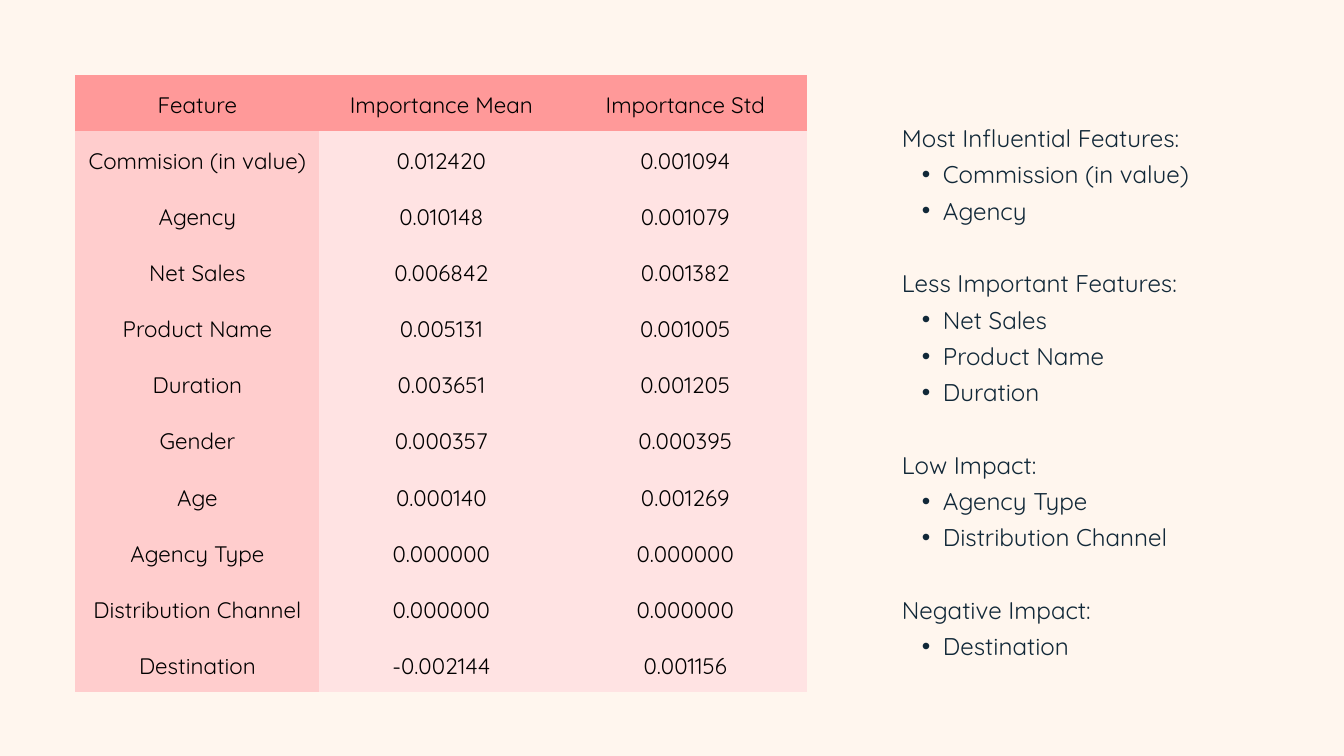
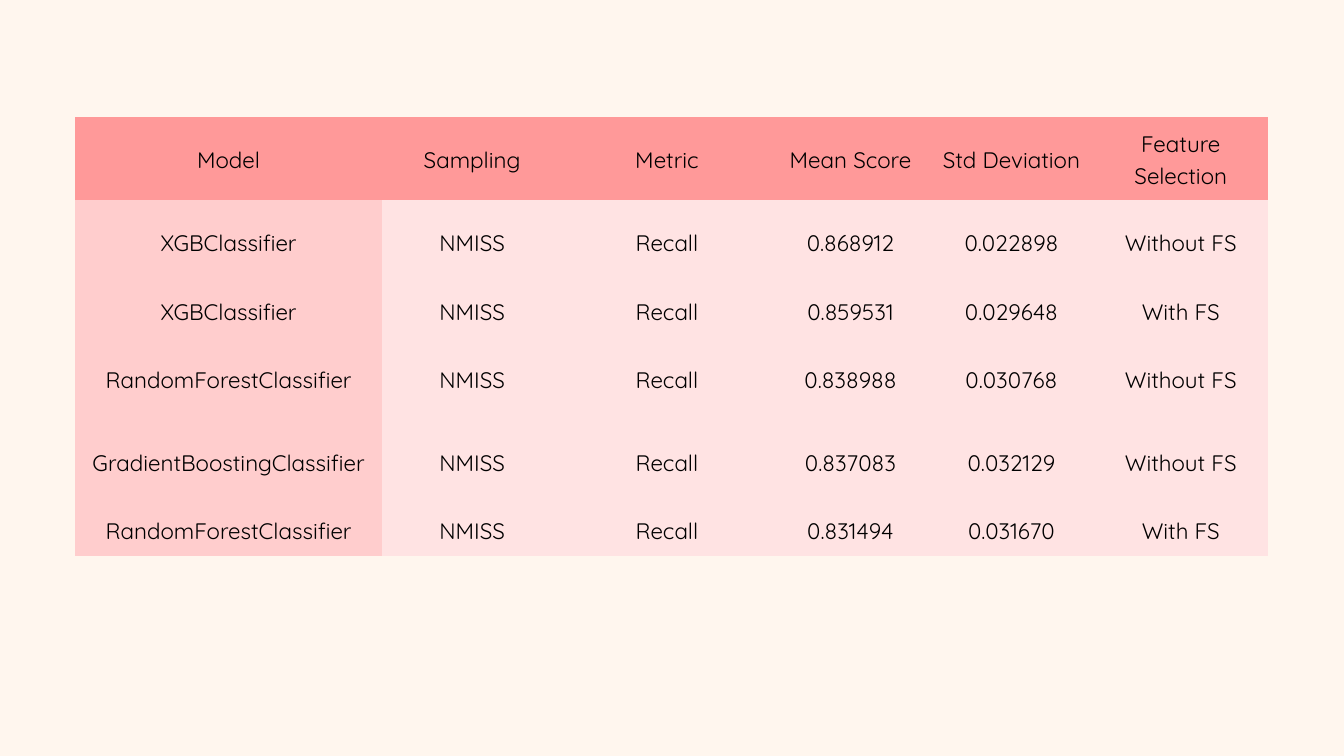
from lxml import etree
from pptx import Presentation
from pptx.dml.color import RGBColor
from pptx.enum.text import MSO_ANCHOR, MSO_AUTO_SIZE, PP_ALIGN
from pptx.oxml.ns import qn
from pptx.util import Cm, Pt

CENTER = PP_ALIGN.CENTER
MIDDLE = MSO_ANCHOR.MIDDLE
GROW_TO_FIT = MSO_AUTO_SIZE.SHAPE_TO_FIT_TEXT

FONT = "Quicksand"
BACKGROUND = "FFF6EE"
HEADER_FILL = "FF9999"
FIRST_COLUMN_FILL = "FFCDCD"
BODY_FILL = "FFE3E3"
TABLE_TEXT = "000000"
NOTE_TEXT = "112838"
TABLE_LEFT = 2.85
NOTE_LINE = Pt(38.9)
NO_STYLE_NO_GRID = "{2D5ABB26-0587-4C30-8999-92F81FD0307C}"

IMPORTANCE_ROWS = [
    ("Feature", "Importance Mean", "Importance Std"),
    ("Commision (in value)", "0.012420", "0.001094"),
    ("Agency", "0.010148", "0.001079"),
    ("Net Sales", "0.006842", "0.001382"),
    ("Product Name", "0.005131", "0.001005"),
    ("Duration", "0.003651", "0.001205"),
    ("Gender", "0.000357", "0.000395"),
    ("Age", "0.000140", "0.001269"),
    ("Agency Type", "0.000000", "0.000000"),
    ("Distribution Channel", "0.000000", "0.000000"),
    ("Destination", "-0.002144", "0.001156"),
]

FEATURE_GROUPS = {
    "Most Influential Features:": ["Commission (in value)", "Agency"],
    "Less Important Features:": ["Net Sales", "Product Name", "Duration"],
    "Low Impact:": ["Agency Type", "Distribution Channel"],
    "Negative Impact:": ["Destination"],
}

MODEL_HEADER = ("Model", "Sampling", "Metric", "Mean Score", "Std Deviation", "Feature Selection")
MODEL_SCORES = [
    ("XGBClassifier", "0.868912", "0.022898", "Without FS"),
    ("XGBClassifier", "0.859531", "0.029648", "With FS"),
    ("RandomForestClassifier", "0.838988", "0.030768", "Without FS"),
    ("GradientBoostingClassifier", "0.837083", "0.032129", "Without FS"),
    ("RandomForestClassifier", "0.831494", "0.031670", "With FS"),
]
MODEL_ROWS = [MODEL_HEADER] + [
    (model, "NMISS", "Recall", mean, deviation, selection)
    for model, mean, deviation, selection in MODEL_SCORES
]


def color(value):
    return RGBColor.from_string(value)


def add_score_table(slide, top, rows, widths, heights):
    """Add a borderless table with a dark header row and a tinted first column; sizes in cm."""
    shape = slide.shapes.add_table(
        len(rows), len(widths), Cm(TABLE_LEFT), Cm(top), Cm(sum(widths)), Cm(sum(heights)))
    table = shape.table
    table._tbl.tblPr.find(qn("a:tableStyleId")).text = NO_STYLE_NO_GRID
    for column, width in zip(table.columns, widths):
        column.width = Cm(width)
    for row_index, (row, height) in enumerate(zip(rows, heights)):
        table.rows[row_index].height = Cm(height)
        for column_index, text in enumerate(row):
            cell = table.cell(row_index, column_index)
            cell.margin_left = cell.margin_right = Cm(0.26)
            cell.margin_top = cell.margin_bottom = Cm(0.26)
            cell.vertical_anchor = MIDDLE
            if row_index == 0:
                fill = HEADER_FILL
            else:
                fill = FIRST_COLUMN_FILL if column_index == 0 else BODY_FILL
            cell.fill.solid()
            cell.fill.fore_color.rgb = color(fill)
            cell.text_frame.text = text
            paragraph = cell.text_frame.paragraphs[0]
            paragraph.alignment = CENTER
            paragraph.line_spacing = Pt(33.6)
            font = paragraph.runs[0].font
            font.name, font.size, font.bold = FONT, Pt(24), False
            font.color.rgb = color(TABLE_TEXT)


presentation = Presentation()
presentation.slide_width = Cm(50.8)
presentation.slide_height = Cm(28.58)

slides = []
for _ in range(2):
    slide = presentation.slides.add_slide(presentation.slide_layouts[6])
    slide.background.fill.solid()
    slide.background.fill.fore_color.rgb = color(BACKGROUND)
    slides.append(slide)
importance_slide, model_slide = slides

# Feature importance
add_score_table(importance_slide, 2.85, IMPORTANCE_ROWS, [9.22] * 3,
                [2.12] * len(IMPORTANCE_ROWS))

notes = importance_slide.shapes.add_textbox(Cm(34.09), Cm(4.39), Cm(14.33), Cm(20.17))
text_frame = notes.text_frame
text_frame.word_wrap = True
text_frame.auto_size = GROW_TO_FIT
text_frame.margin_left = text_frame.margin_right = 0
text_frame.margin_top = text_frame.margin_bottom = 0

lines = [(text, text in FEATURE_GROUPS)
         for heading, features in FEATURE_GROUPS.items()
         for text in [heading, *features]]
text_frame.text = "\n".join(text for text, _ in lines)
for index, (paragraph, (_, is_heading)) in enumerate(zip(text_frame.paragraphs, lines)):
    paragraph.line_spacing = NOTE_LINE
    if is_heading and index > 0:
        paragraph.space_before = NOTE_LINE
    if not is_heading:
        paragraph.level = 1
        properties = paragraph._p.get_or_add_pPr()
        properties.set("marL", str(Cm(1.55)))
        properties.set("indent", str(-Cm(0.79)))
        etree.SubElement(properties, qn("a:buFont"), typeface="Arial")
        etree.SubElement(properties, qn("a:buChar"), char="•")
    font = paragraph.runs[0].font
    font.name, font.size = FONT, Pt(25.9)
    font.color.rgb = color(NOTE_TEXT)

# Model comparison
add_score_table(model_slide, 4.42, MODEL_ROWS, [11.58, 6.83, 7.9, 5.97, 6.2, 6.6],
                [3.15, 3.12, 2.06, 3.12, 3.12, 2.03])

presentation.save("out.pptx")
